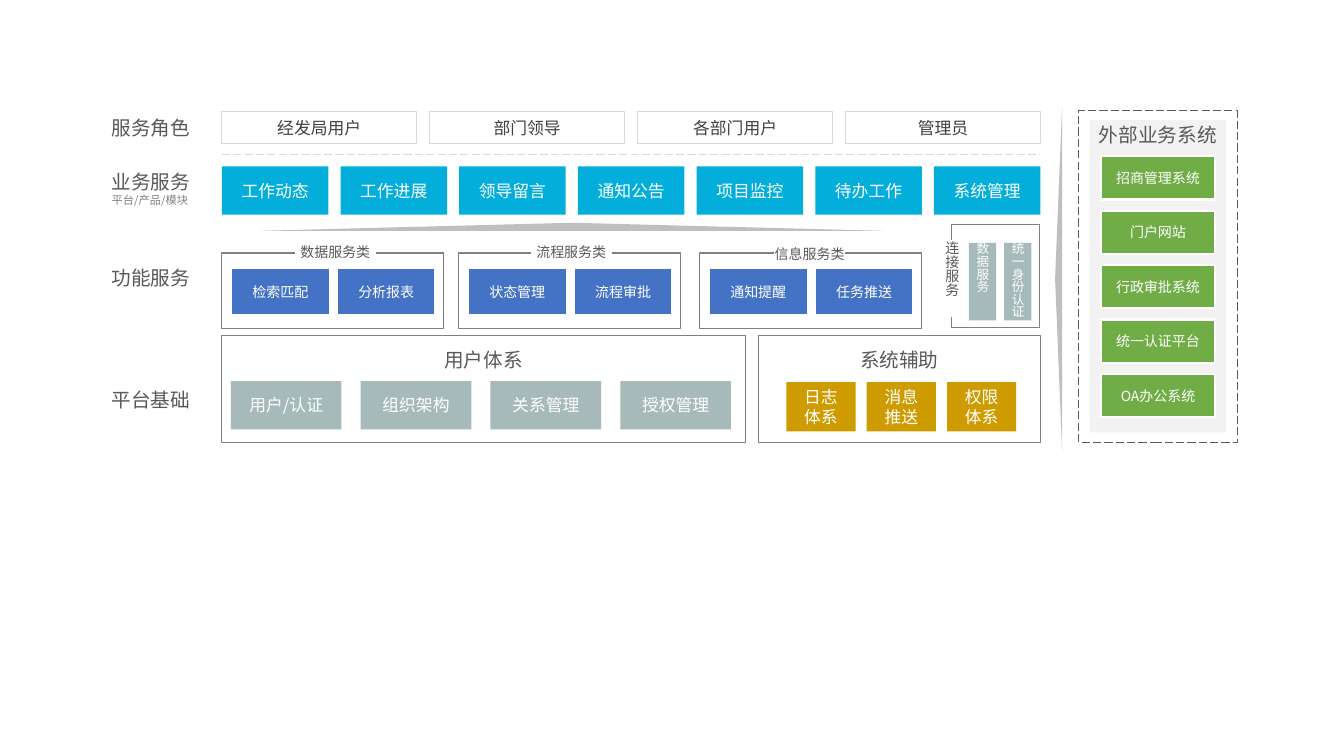
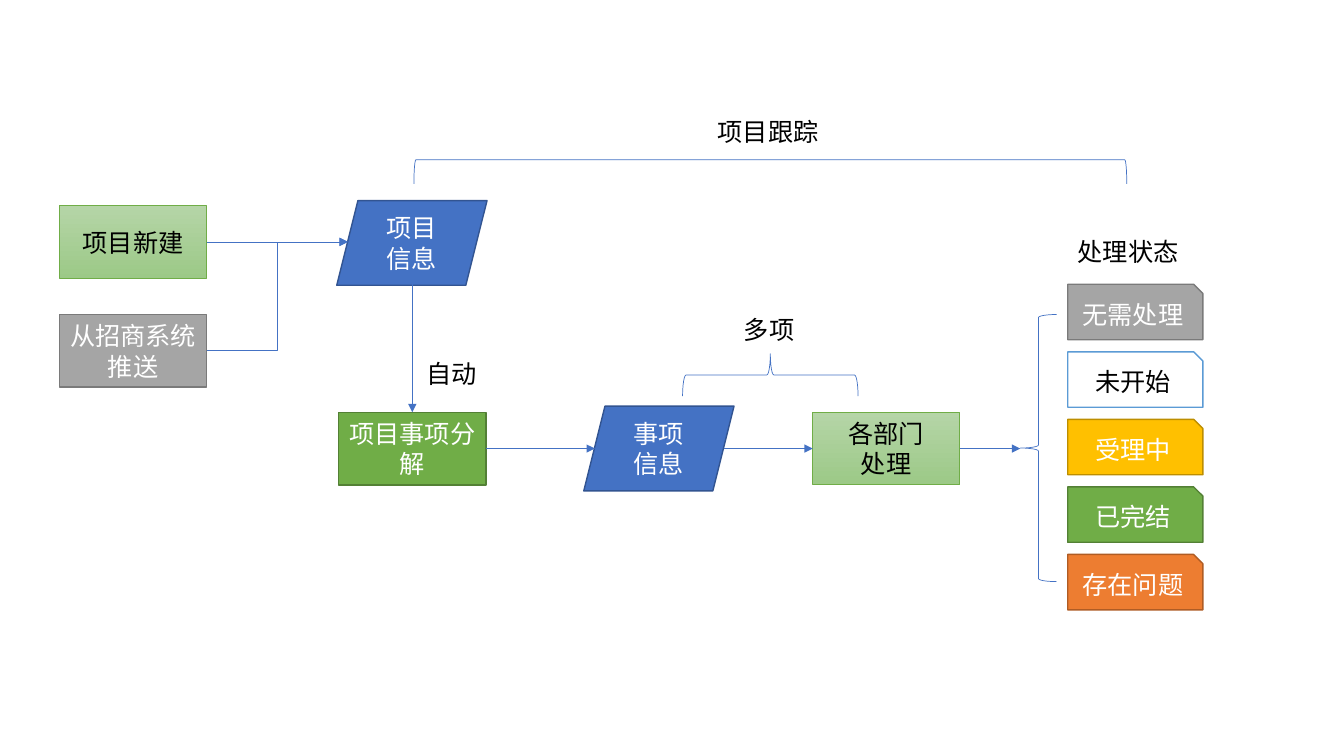
from lxml.etree import SubElement
from pptx import Presentation
from pptx.dml.color import RGBColor
from pptx.enum.dml import MSO_LINE
from pptx.enum.shapes import MSO_CONNECTOR, MSO_SHAPE
from pptx.enum.text import MSO_ANCHOR, PP_ALIGN
from pptx.oxml.ns import qn
from pptx.util import Inches, Pt

FONT = "Noto Sans CJK SC"
WHITE = RGBColor(0xFF, 0xFF, 0xFF)
BLACK = RGBColor(0x00, 0x00, 0x00)
INK = RGBColor(0x40, 0x40, 0x40)
DARK_GRAY = RGBColor(0x59, 0x59, 0x59)
MID_GRAY = RGBColor(0x80, 0x80, 0x80)
SILVER = RGBColor(0xBF, 0xBF, 0xBF)
LIGHT_GRAY = RGBColor(0xD9, 0xD9, 0xD9)
PALE_GRAY = RGBColor(0xF2, 0xF2, 0xF2)
SAGE = RGBColor(0xA6, 0xBA, 0xBA)
CYAN = RGBColor(0x03, 0xAE, 0xDA)
OCHRE = RGBColor(0xCE, 0x9C, 0x01)
BLUE = RGBColor(0x44, 0x72, 0xC4)
BLUE_EDGE = RGBColor(0x32, 0x54, 0x91)
SKY = RGBColor(0x5B, 0x9B, 0xD5)
GREEN = RGBColor(0x70, 0xAD, 0x47)
GREEN_EDGE = RGBColor(0x53, 0x80, 0x35)
SOFT_GREENS = (RGBColor(0xB5, 0xD5, 0xA7), RGBColor(0x9C, 0xC9, 0x87))
GRAY = RGBColor(0xA5, 0xA5, 0xA5)
GRAY_EDGE = RGBColor(0x7A, 0x7A, 0x7A)
AMBER = RGBColor(0xFF, 0xC0, 0x00)
AMBER_EDGE = RGBColor(0xBD, 0x8E, 0x00)
ORANGE = RGBColor(0xED, 0x7D, 0x31)
ORANGE_EDGE = RGBColor(0xAF, 0x5C, 0x24)

NO_INSETS = (0, 0, 0, 0)
NORMAL_INSETS = (0.1, 0.05, 0.1, 0.05)
HEADING_INSETS = (0.1, 0.12, 0.1, 0.05)


def style_paragraph(paragraph, size, color, align):
    """Set alignment and the shared font on a paragraph."""
    paragraph.alignment = align
    font = paragraph.font
    font.size = Pt(size)
    font.color.rgb = color
    font.name = FONT
    properties = paragraph._p.get_or_add_pPr().get_or_add_defRPr()
    SubElement(properties, qn("a:ea")).set("typeface", FONT)


def write_text(shape, text, size, color, align=PP_ALIGN.CENTER,
               anchor=MSO_ANCHOR.MIDDLE, insets=NORMAL_INSETS, vertical=False):
    """Fill a shape with text, one paragraph for each line."""
    frame = shape.text_frame
    frame.word_wrap = True
    frame.vertical_anchor = anchor
    frame.margin_left, frame.margin_top, frame.margin_right, frame.margin_bottom = map(Inches, insets)
    if vertical:
        frame._txBody.bodyPr.set("vert", "eaVert")
    frame.text = text
    for paragraph in frame.paragraphs:
        style_paragraph(paragraph, size, color, align)


def add_block(slide, box, fill=None, line=None, width=0.75, kind=MSO_SHAPE.RECTANGLE,
              rotation=0, text="", size=12, color=WHITE, **text_options):
    """Add a preset shape; a pair of fill colours makes a downward gradient."""
    shape = slide.shapes.add_shape(kind, *map(Inches, box))
    shape.shadow.inherit = False
    shape.rotation = rotation
    if fill is None:
        shape.fill.background()
    elif fill is SOFT_GREENS:
        shape.fill.gradient()
        shape.fill.gradient_angle = 270
        for stop, stop_color in zip(shape.fill.gradient_stops, fill):
            stop.color.rgb = stop_color
    else:
        shape.fill.solid()
        shape.fill.fore_color.rgb = fill
    if line is None:
        shape.line.fill.background()
    else:
        shape.line.color.rgb = line
        shape.line.width = Pt(width)
    if text:
        write_text(shape, text, size, color, **text_options)
    return shape


def add_label(slide, box, text, size, color):
    """Add a left-aligned text box and return it."""
    label = slide.shapes.add_textbox(*map(Inches, box))
    write_text(label, text, size, color, PP_ALIGN.LEFT, MSO_ANCHOR.TOP)
    return label


def add_line(slide, start, end, color, width, kind=MSO_CONNECTOR.STRAIGHT, arrow=False):
    """Add a connector without a shadow, with an arrowhead if asked for."""
    connector = slide.shapes.add_connector(kind, *map(Inches, start + end))
    connector.line.color.rgb = color
    connector.line.width = Pt(width)
    if arrow:
        SubElement(connector.line._get_or_add_ln(), qn("a:tailEnd")).set("type", "triangle")
    SubElement(connector._element.spPr, qn("a:effectLst"))
    return connector


def add_row(slide, box, gap, texts, **options):
    """Share a box among equal blocks set side by side."""
    left, top, width, height = box
    block_width = (width - gap * (len(texts) - 1)) / len(texts)
    for index, text in enumerate(texts):
        block_left = left + index * (block_width + gap)
        add_block(slide, (block_left, top, block_width, height), text=text, **options)


def add_row_labels(slide, left):
    """Name the four layers along the left edge."""
    for top, text in ((1.1, "服务角色"), (1.64, "业务服务\n平台/产品/模块"),
                      (2.59, "功能服务"), (3.8, "平台基础")):
        height = 0.47 if "\n" in text else 0.34
        label = add_label(slide, (left, top, 0.99, height), text, 14, DARK_GRAY)
        for paragraph in label.text_frame.paragraphs[1:]:
            paragraph.font.size = Pt(8)
            paragraph.font.color.rgb = MID_GRAY


def add_roles_and_services(slide, left, top, width):
    """Place the role row, the dashed divider and the service row."""
    add_row(slide, (left, top, width, 0.31), 0.13,
            ("经发局用户", "部门领导", "各部门用户", "管理员"), line=LIGHT_GRAY, color=INK)
    divider = add_line(slide, (left, top + 0.42), (left + width, top + 0.42), LIGHT_GRAY, 0.75)
    divider.line.dash_style = MSO_LINE.LONG_DASH
    add_row(slide, (left, top + 0.54, width, 0.48), 0.12,
            ("工作动态", "工作进展", "领导留言", "通知公告", "项目监控", "待办工作", "系统管理"),
            fill=CYAN)


def add_function_group(slide, left, top, caption, caption_box, functions):
    """Place a framed pair of functions with a caption over its top edge."""
    add_block(slide, (left, top, 2.2, 0.75), line=MID_GRAY)
    shift, rise, width, height = caption_box
    add_block(slide, (left + shift, top - rise, width, height), WHITE, WHITE,
              text=caption, size=10, color=DARK_GRAY, insets=NO_INSETS)
    add_row(slide, (left + 0.09, top + 0.15, 2.03, 0.47), 0.07, functions,
            fill=BLUE, line=WHITE, width=1.5, size=10)


def add_connection_group(slide, left, top):
    """Place the framed connection services with vertical text."""
    add_block(slide, (left, top, 0.87, 1.02), line=MID_GRAY)
    add_block(slide, (left - 0.1, top + 0.16, 0.2, 0.75), WHITE, WHITE, text="连接服务",
              size=10, color=DARK_GRAY, align=PP_ALIGN.JUSTIFY, insets=NO_INSETS, vertical=True)
    for shift, text in ((0.17, "数据服务"), (0.52, "统一身份认证")):
        add_block(slide, (left + shift, top + 0.18, 0.27, 0.77), SAGE, text=text, size=9,
                  insets=NO_INSETS, vertical=True)


def add_titled_frame(slide, box, title, line=MID_GRAY):
    """Place an outlined frame with its title at the top."""
    return add_block(slide, box, line=line, text=title, size=14, color=DARK_GRAY,
                     anchor=MSO_ANCHOR.TOP, insets=HEADING_INSETS)


def add_platform(slide, left, top):
    """Place the user system and the system support frames."""
    add_titled_frame(slide, (left, top, 5.19, 1.06), "用户体系")
    add_row(slide, (left + 0.09, top + 0.45, 4.96, 0.48), 0.19,
            ("用户/认证", "组织架构", "关系管理", "授权管理"), fill=SAGE)
    add_titled_frame(slide, (left + 5.32, top, 2.8, 1.06), "系统辅助")
    add_row(slide, (left + 5.6, top + 0.46, 2.28, 0.49), 0.11,
            ("日志体系", "消息推送", "权限体系"), fill=OCHRE)


def add_external_systems(slide, left, top):
    """Place the dashed column of external systems."""
    add_block(slide, (left + 0.11, top + 0.09, 1.35, 3.1), PALE_GRAY)
    frame = add_titled_frame(slide, (left, top, 1.57, 3.29), "外部业务系统", DARK_GRAY)
    frame.line.dash_style = MSO_LINE.LONG_DASH
    systems = ("招商管理系统", "门户网站", "行政审批系统", "统一认证平台", "OA办公系统")
    for index, text in enumerate(systems):
        add_block(slide, (left + 0.22, top + 0.45 + index * 0.54, 1.13, 0.43),
                  GREEN, WHITE, 1.5, text=text, size=10)


def build_architecture(slide):
    """Build the layered service architecture."""
    add_row_labels(slide, 1.01)
    add_roles_and_services(slide, 2.2, 1.11, 8.12)
    for left, caption, caption_box, functions in (
            (2.2, "数据服务类", (0.73, 0.11, 0.79, 0.2), ("检索匹配", "分析报表")),
            (4.55, "流程服务类", (0.72, 0.11, 0.79, 0.2), ("状态管理", "流程审批")),
            (6.94, "信息服务类", (0.74, 0.08, 0.7, 0.18), ("通知提醒", "任务推送"))):
        add_function_group(slide, left, 2.51, caption, caption_box, functions)
    add_connection_group(slide, 9.44, 2.23)
    add_platform(slide, 2.2, 3.33)
    add_external_systems(slide, 10.7, 1.1)
    for box, rotation in (((8.78, 2.73, 3.44, 0.07), 270), ((2.59, 2.21, 6.17, 0.08), 0)):
        add_block(slide, box, SILVER, kind=MSO_SHAPE.ISOSCELES_TRIANGLE, rotation=rotation)


def add_step(slide, left, top, text, fill, line, color=WHITE):
    """Place a rectangular process step."""
    return add_block(slide, (left, top, 1.46, 0.72), fill, line,
                     0.5 if fill is SOFT_GREENS else 1, text=text, size=18, color=color)


def add_record(slide, left, top, text):
    """Place a slanted information record."""
    add_block(slide, (left, top, 1.49, 0.84), BLUE, BLUE_EDGE, 1,
              MSO_SHAPE.PARALLELOGRAM, text=text, size=18)


def add_arrow(slide, start, end, source=None, target=None, kind=MSO_CONNECTOR.STRAIGHT):
    """Draw an arrow, joined to a (shape, side) pair at either end."""
    connector = add_line(slide, start, end, BLUE, 0.5, kind, arrow=True)
    if source:
        connector.begin_connect(*source)
    if target:
        connector.end_connect(*target)


def add_statuses(slide, left, top):
    """Place the column of handling statuses under its heading."""
    add_label(slide, (left, top, 1.21, 0.4), "处理状态", 18, BLACK)
    statuses = (("无需处理", GRAY, GRAY_EDGE, WHITE), ("未开始", WHITE, SKY, BLACK),
                ("受理中", AMBER, AMBER_EDGE, WHITE), ("已完结", GREEN, GREEN_EDGE, WHITE),
                ("存在问题", ORANGE, ORANGE_EDGE, WHITE))
    for index, (text, fill, line, color) in enumerate(statuses):
        add_block(slide, (left, top + 0.52 + index * 0.67, 1.34, 0.55), fill, line, 1,
                  MSO_SHAPE.SNIP_1_RECTANGLE, text=text, size=18, color=color)


def add_flow(slide):
    """Place the process steps and the arrows between them."""
    create = add_step(slide, 0.59, 2.04, "项目新建", SOFT_GREENS, GREEN, BLACK)
    push = add_step(slide, 0.59, 3.12, "从招商系统推送", GRAY, GRAY_EDGE)
    breakdown = add_step(slide, 3.36, 4.09, "项目事项分解", GREEN, GREEN_EDGE)
    handling = add_step(slide, 8.06, 4.09, "各部门\n处理", SOFT_GREENS, GREEN, BLACK)
    add_record(slide, 3.34, 1.99, "项目\n信息")
    add_record(slide, 5.79, 4.03, "事项\n信息")
    add_arrow(slide, (2.05, 2.4), (3.45, 2.4), (create, 3))
    add_arrow(slide, (2.05, 3.48), (3.45, 2.4), (push, 3), kind=MSO_CONNECTOR.ELBOW)
    add_arrow(slide, (4.09, 2.82), (4.09, 4.09), target=(breakdown, 0))
    add_arrow(slide, (4.82, 4.45), (5.9, 4.45), (breakdown, 3))
    add_arrow(slide, (7.18, 4.45), (8.06, 4.45), target=(handling, 1))
    add_arrow(slide, (9.52, 4.45), (10.12, 4.45), (handling, 3))


def build_process(slide):
    """Build the project handling process."""
    add_flow(slide)
    add_statuses(slide, 10.59, 2.3)
    for kind, box, rotation in ((MSO_SHAPE.LEFT_BRACE, (10.12, 3.12, 0.36, 2.65), 0),
                                (MSO_SHAPE.LEFT_BRACE, (7.43, 2.85, 0.42, 1.74), 90),
                                (MSO_SHAPE.LEFT_BRACKET, (7.52, -1.83, 0.24, 7.07), 90)):
        add_block(slide, box, line=BLUE, width=0.5, kind=kind, rotation=rotation)
    for left, top, width, text in ((7.02, 1.11, 1.21, "项目跟踪"), (7.28, 3.07, 0.71, "多项"),
                                   (4.13, 3.51, 0.71, "自动")):
        add_label(slide, (left, top, width, 0.4), text, 18, BLACK)


def main():
    """Build both slides and save the presentation."""
    presentation = Presentation()
    presentation.slide_width = Inches(13.33)
    presentation.slide_height = Inches(7.5)
    for build in (build_architecture, build_process):
        build(presentation.slides.add_slide(presentation.slide_layouts[6]))
    presentation.save("out.pptx")


if __name__ == "__main__":
    main()
